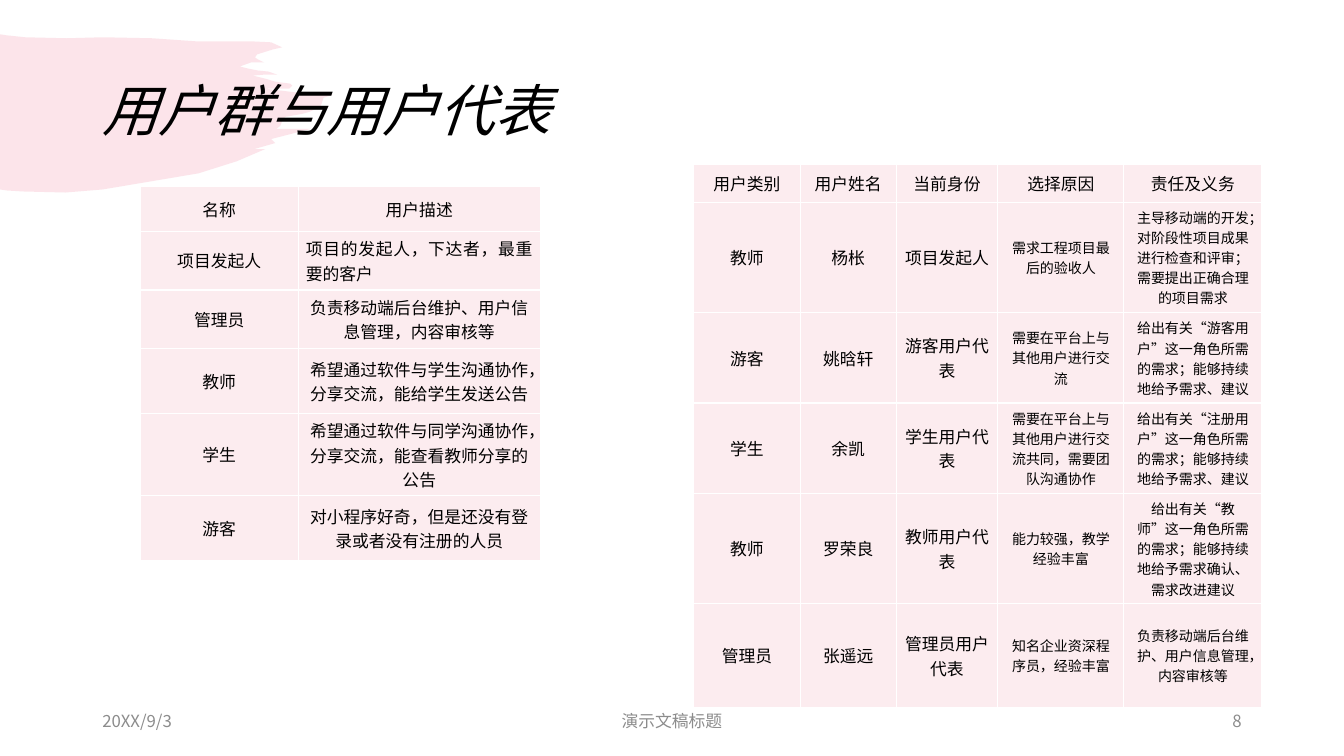
from lxml.etree import SubElement
from pptx import Presentation
from pptx.dml.color import RGBColor
from pptx.enum.text import MSO_ANCHOR, PP_ALIGN
from pptx.oxml import parse_xml
from pptx.oxml.ns import nsdecls, qn
from pptx.util import Pt

COLORS = {"brush": "F07C98", "cell": "FCECEF", "border": "FFFFFF", "text": "000000", "footer": "8C8C8C"}
CJK = "Noto Sans CJK SC"
LATIN = "Quicksand"

BRUSH_OUTLINE = [
    (0, 34), (6, 35), (25, 37), (66, 38), (102, 37), (151, 38), (194, 41), (248, 41),
    (269, 42), (280, 47), (271, 49), (255, 54), (253, 57), (256, 59), (262, 62), (249, 62),
    (238, 66), (246, 68), (256, 70), (266, 71), (275, 74), (263, 74), (251, 75), (263, 78),
    (273, 81), (280, 82), (288, 83), (290, 85), (287, 88), (284, 88), (263, 88), (296, 92),
    (330, 94), (321, 97), (318, 106), (307, 111), (300, 113), (283, 116), (280, 120),
    (278, 125), (274, 128), (308, 128), (269, 138), (273, 142), (252, 148), (263, 148),
    (235, 160), (197, 172), (102, 188), (65, 191), (23, 190), (7, 189), (0, 188),
]

USER_GROUPS = [
    ("名称", "用户描述"),
    ("项目发起人", "项目的发起人，下达者，最重要的客户"),
    ("管理员", "负责移动端后台维护、用户信息管理，内容审核等"),
    ("教师", "希望通过软件与学生沟通协作，分享交流，能给学生发送公告"),
    ("学生", "希望通过软件与同学沟通协作，分享交流，能查看教师分享的公告"),
    ("游客", "对小程序好奇，但是还没有登录或者没有注册的人员"),
]

REPRESENTATIVES = [
    ("用户类别", "用户姓名", "当前身份", "选择原因", "责任及义务"),
    ("教师", "杨枨", "项目发起人", "需求工程项目最后的验收人",
     "主导移动端的开发；对阶段性项目成果进行检查和评审；需要提出正确合理的项目需求"),
    ("游客", "姚晗轩", "游客用户代表", "需要在平台上与其他用户进行交流",
     "给出有关“游客用户”这一角色所需的需求；能够持续地给予需求、建议"),
    ("学生", "余凯", "学生用户代表", "需要在平台上与其他用户进行交流共同，需要团队沟通协作",
     "给出有关“注册用户”这一角色所需的需求；能够持续地给予需求、建议"),
    ("教师", "罗荣良", "教师用户代表", "能力较强，教学经验丰富",
     "给出有关“教师”这一角色所需的需求；能够持续地给予需求确认、需求改进建议"),
    ("管理员", "张遥远", "管理员用户代表", "知名企业资深程序员，经验丰富",
     "负责移动端后台维护、用户信息管理，内容审核等"),
]


def add_run(paragraph, words, size, color="text", latin=CJK, italic=False):
    run = paragraph.add_run()
    run.text = words
    run.font.size = Pt(size)
    run.font.bold = False
    run.font.italic = italic
    run.font.color.rgb = RGBColor.from_string(COLORS[color])
    run.font.name = latin
    SubElement(run.font._element, qn("a:ea"), typeface=CJK)


def add_brush(slide, left, top):
    start, *rest = BRUSH_OUTLINE
    builder = slide.shapes.build_freeform(*start, scale=Pt(0.72))
    builder.add_line_segments(rest, close=True)
    brush = builder.convert_to_shape()
    brush.left, brush.top = Pt(left), Pt(top)
    brush.shadow.inherit = False
    brush.fill.solid()
    brush.fill.fore_color.rgb = RGBColor.from_string(COLORS["brush"])
    brush.line.fill.background()
    SubElement(brush._element.spPr.find(".//" + qn("a:srgbClr")), qn("a:alpha"), val="20000")
    slide.shapes._spTree.insert(2, brush._element)


def add_heading(slide, left, top, width, height):
    heading = slide.shapes.title
    heading.left, heading.top, heading.width, heading.height = Pt(left), Pt(top), Pt(width), Pt(height)
    heading.text_frame.vertical_anchor = MSO_ANCHOR.MIDDLE
    paragraph = heading.text_frame.paragraphs[0]
    paragraph.alignment = PP_ALIGN.LEFT
    paragraph.line_spacing = 0.9
    add_run(paragraph, "用户群与用户代表", 40, italic=True)


def add_footer(slide, left, top, width, height):
    side, middle = 216, 324
    parts = [
        ("20XX/9/3", left, side, PP_ALIGN.LEFT),
        ("演示文稿标题", left + (width - middle) / 2, middle, PP_ALIGN.CENTER),
        ("8", left + width - side, side, PP_ALIGN.RIGHT),
    ]
    for words, part_left, part_width, alignment in parts:
        part = slide.shapes.add_textbox(Pt(part_left), Pt(top), Pt(part_width), Pt(height))
        part.text_frame.word_wrap = True
        part.text_frame.vertical_anchor = MSO_ANCHOR.MIDDLE
        paragraph = part.text_frame.paragraphs[0]
        paragraph.alignment = alignment
        add_run(paragraph, words, 12, "footer")


def style_cell(cell):
    cell.fill.solid()
    cell.fill.fore_color.rgb = RGBColor.from_string(COLORS["cell"])
    cell.vertical_anchor = MSO_ANCHOR.MIDDLE
    cell.margin_left = cell.margin_right = Pt(5.4)
    cell.margin_top = cell.margin_bottom = Pt(3.6)
    for position, edge in enumerate(("lnL", "lnR", "lnT", "lnB")):
        cell._tc.tcPr.insert(position, parse_xml(
            f'<a:{edge} {nsdecls("a")} w="{Pt(1)}"><a:solidFill>'
            f'<a:srgbClr val="{COLORS["border"]}"/></a:solidFill></a:{edge}>'))


def add_grid(slide, left, top, widths, heights, content, small_from, justified=()):
    grid = slide.shapes.add_table(len(heights), len(widths), Pt(left), Pt(top),
                                  Pt(sum(widths)), Pt(sum(heights))).table
    grid.first_row = grid.horz_banding = False
    for column, width in zip(grid.columns, widths):
        column.width = Pt(width)
    for r, (height, entries) in enumerate(zip(heights, content)):
        grid.rows[r].height = Pt(height)
        for c, words in enumerate(entries):
            cell = grid.cell(r, c)
            style_cell(cell)
            paragraph = cell.text_frame.paragraphs[0]
            paragraph.alignment = PP_ALIGN.JUSTIFY if (r, c) in justified else PP_ALIGN.CENTER
            add_run(paragraph, words, 10 if r and c >= small_from else 12, latin=LATIN)


def main():
    deck = Presentation()
    deck.slide_width, deck.slide_height = Pt(960), Pt(540)
    slide = deck.slides.add_slide(deck.slide_layouts[5])
    add_brush(slide, 0, 24.5)
    add_heading(slide, 66, 28.8, 828, 104.4)
    add_footer(slide, 66, 500.4, 828, 28.8)
    add_grid(slide, 495.4, 117.4, (76.3, 68.4, 72.7, 90, 98.6),
             (27, 79, 64.5, 64.5, 79, 74), REPRESENTATIVES, small_from=3)
    add_grid(slide, 100.1, 133.2, (113, 172.8), (32, 42, 42, 46, 59, 46),
             USER_GROUPS, small_from=2, justified={(1, 1)})
    deck.save("out.pptx")


if __name__ == "__main__":
    main()
